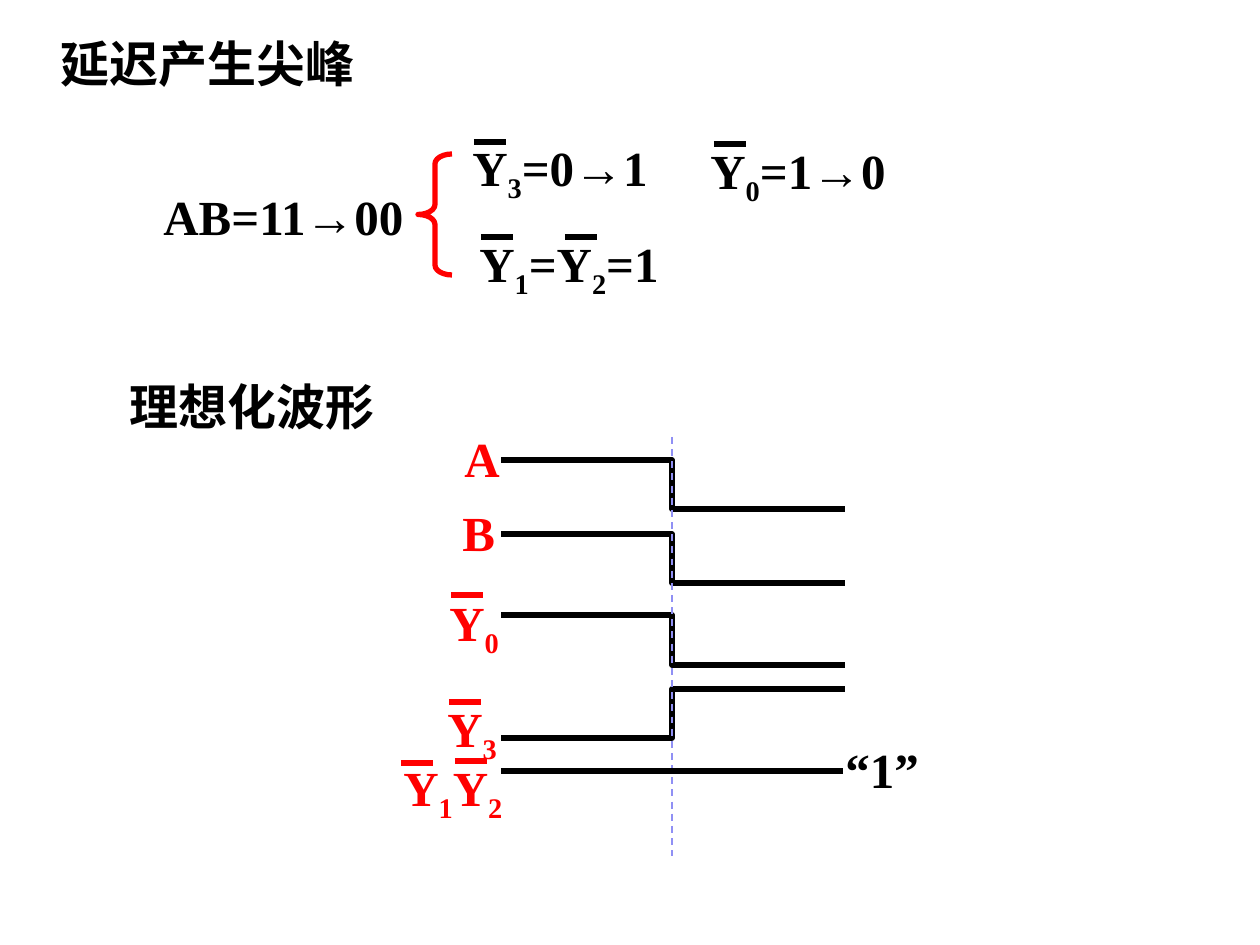
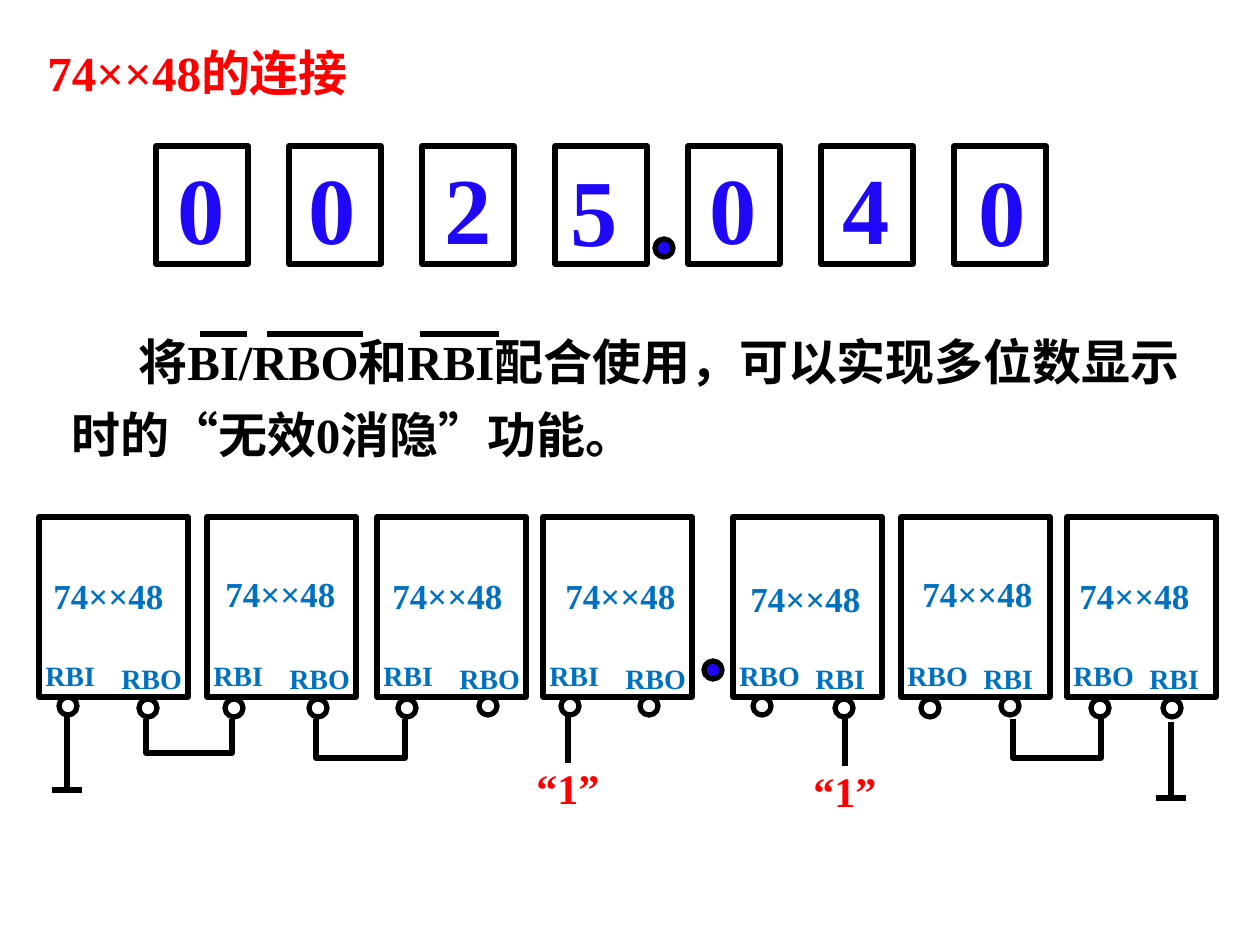
from dataclasses import dataclass

from lxml.etree import SubElement
from pptx import Presentation
from pptx.dml.color import RGBColor
from pptx.enum.dml import MSO_LINE
from pptx.enum.shapes import MSO_CONNECTOR, MSO_SHAPE
from pptx.enum.text import MSO_ANCHOR
from pptx.oxml.ns import qn
from pptx.util import Pt

EMU_PER_PX = 914400 / 126
FONT = "Times New Roman"
BLACK = RGBColor(0x00, 0x00, 0x00)
RED = RGBColor(0xFF, 0x00, 0x00)
DIGIT_BLUE = RGBColor(0x1F, 0x08, 0xF8)
CHIP_BLUE = RGBColor(0x00, 0x70, 0xC0)
GUIDE_BLUE = RGBColor(0x90, 0x90, 0xF4)

BODY_SIZE = 28
BAR_LENGTH = 32
DOT_SIZE = 18


@dataclass
class Chip:
    left: int
    model_offset: tuple
    pins: tuple


CHIPS = (
    Chip(39, (2, 51), ((20, 0), (100, 2))),
    Chip(207, (6, 49), ((18, 2), (102, 2))),
    Chip(377, (3, 51), ((21, 2), (102, 0))),
    Chip(543, (10, 51), ((18, 0), (97, 0))),
    Chip(733, (5, 54), ((20, 0), (102, 2))),
    Chip(901, (9, 49), ((20, 2), (100, 0))),
    Chip(1067, (0, 51), ((24, 2), (96, 2))),
)
INTEGER_DIGITS = 4


def px(length):
    return round(length * EMU_PER_PX)


def add_text(page, box, parts, color=BLACK, size=BODY_SIZE, before=None):
    """Parts alternate between normal text and subscripts."""
    shape = page.shapes.add_textbox(*map(px, box))
    frame = shape.text_frame
    frame.word_wrap = True
    para = frame.paragraphs[0]
    para.space_before = Pt(size * 0.1 if before is None else before)
    for index, part in enumerate(parts):
        span = para.add_run()
        span.text = part
        span.font.name = FONT
        span.font.size = Pt(size)
        span.font.bold = True
        span.font.color.rgb = color
        if index % 2:
            span._r.get_or_add_rPr().set("baseline", "-25000")
    return frame


def add_title(page, box, text, color):
    frame = add_text(page, box, [text], color, before=0)
    frame.vertical_anchor = MSO_ANCHOR.MIDDLE


def add_line(page, start, end, color=BLACK, width=3):
    line = page.shapes.add_connector(MSO_CONNECTOR.STRAIGHT, *map(px, start + end))
    line.line.color.rgb = color
    line.line.width = Pt(width)
    SubElement(line._element.spPr, qn("a:effectLst"))
    return line


def style_outline(shape, color=BLACK, fill=None):
    shape.shadow.inherit = False
    shape.line.color.rgb = color
    shape.line.width = Pt(3)
    if fill is None:
        shape.fill.background()
    else:
        shape.fill.solid()
        shape.fill.fore_color.rgb = fill


def add_outline(page, kind, box, color=BLACK, fill=None):
    shape = page.shapes.add_shape(kind, *map(px, box))
    style_outline(shape, color, fill)
    return shape


def add_dot(page, left, top, fill=None):
    add_outline(page, MSO_SHAPE.OVAL, (left, top, DOT_SIZE, DOT_SIZE), fill=fill)


def add_path(page, points):
    scaled = [(px(x), px(y)) for x, y in points]
    builder = page.shapes.build_freeform(*scaled[0])
    builder.add_line_segments(scaled[1:], close=False)
    style_outline(builder.convert_to_shape())


def add_barred_text(page, box, parts, bars, color=BLACK):
    add_text(page, box, parts, color)
    left, top = box[:2]
    for dx, dy in bars:
        start = (left + dx, top + dy)
        add_line(page, start, (start[0] + BAR_LENGTH, start[1]), color)


def draw_transition(page, left, top):
    add_text(page, (left, top + 49, 294, 72), ["AB=11→00"])
    brace = add_outline(page, MSO_SHAPE.LEFT_BRACE, (left + 267, top + 23, 34, 121), RED)
    brace.adjustments[0] = 0.292
    brace.adjustments[1] = 0.5
    results = (
        (309, 0, 237, ("Y", "3", "=0→1"), ((14, 11),)),
        (547, 3, 237, ("Y", "0", "=1→0"), ((16, 10),)),
        (316, 96, 224, ("Y", "1", "=Y", "2", "=1"), ((14, 10), (98, 10))),
    )
    for dx, dy, width, parts, bars in results:
        add_barred_text(page, (left + dx, top + dy, width, 72), parts, bars)


def draw_waveforms(page, left, top):
    start, step, end = left + 110, left + 281, left + 454
    for before, after in ((38, 87), (112, 161), (193, 243), (316, 267)):
        add_path(page, ((start, top + before), (step, top + before),
                        (step, top + after), (end, top + after)))
    labels = (
        (61, 0, 106, ("A",), ()),
        (59, 74, 106, ("B",), ()),
        (46, 164, 106, ("Y", "0"), ((14, 9),)),
        (44, 270, 106, ("Y", "3"), ((14, 10),)),
        (0, 329, 168, ("Y", "1", "Y", "2"), ((10, 12), (64, 10))),
    )
    for dx, dy, width, parts, bars in labels:
        add_barred_text(page, (left + dx, top + dy, width, 72), parts, bars, RED)
    guide = add_line(page, (step, top + 15), (step, top + 434), GUIDE_BLUE, 1)
    guide.line.dash_style = MSO_LINE.DASH
    add_line(page, (start, top + 349), (left + 452, top + 349))
    add_text(page, (left + 442, top + 311, 123, 72), ["“1”"])


def draw_display(page, left, top):
    pitch = 133
    digits = (("0", 9, -2), ("0", 7, -2), ("2", 10, -2), ("5", 5, 0),
              ("0", 9, -2), ("4", 9, -2), ("0", 12, 0))
    for index, (digit, dx, dy) in enumerate(digits):
        cell = left + index * pitch
        add_outline(page, MSO_SHAPE.RECTANGLE, (cell, top, 92, 118))
        add_text(page, (cell + dx - 2 * (index == 3), top + dy, 72, 126),
                 [digit], DIGIT_BLUE, 54)
    add_dot(page, left + 499, top + 93, DIGIT_BLUE)


def draw_explanation(page, left, top):
    text = "将BI/RBO和RBI配合使用，可以实现多位数显示时的“无效0消隐”功能。"
    frame = add_text(page, (left, top, 1169, 152), [text], before=3)
    para = frame.paragraphs[0]
    para.line_spacing = 1.24
    para.space_after = Pt(3)
    para._p.get_or_add_pPr().set("indent", str(px(67)))
    for start, end in ((141, 188), (208, 304), (361, 440)):
        add_line(page, (left + start, top + 23), (left + end, top + 23))


def draw_chip(page, chip, top, pin_names):
    left = chip.left
    add_outline(page, MSO_SHAPE.RECTANGLE, (left, top, 149, 180))
    dx, dy = chip.model_offset
    add_text(page, (left + dx, top + dy, 170, 54), ["74××48"], CHIP_BLUE, 20)
    for name, label_dx, label_dy in zip(pin_names, (-6, 70), (135, 138)):
        add_text(page, (left + label_dx, top + label_dy, 98, 47), [name], CHIP_BLUE, 16)
    for pin_dx, drop in chip.pins:
        add_dot(page, left + pin_dx, top + 180 + drop)


def draw_ground(page, x, start, end):
    add_line(page, (x, start), (x, end))
    add_line(page, (x - 15, end + 1), (x + 15, end + 1))


def draw_high_input(page, x, top):
    add_line(page, (x, top), (x, top + 49))
    add_text(page, (x - 44, top + 42, 93, 63), ["“1”"], RED, 24)


def draw_chip_chain(page, top):
    for index, chip in enumerate(CHIPS):
        names = ("RBI", "RBO") if index < INTEGER_DIGITS else ("RBO", "RBI")
        draw_chip(page, chip, top, names)
    add_dot(page, 704, top + 144, DIGIT_BLUE)
    for start, end, bottom in ((146, 232, 236), (316, 405, 241), (1013, 1101, 241)):
        add_path(page, ((start, top + 202), (start, top + bottom),
                        (end, top + bottom), (end, top + 202)))
    draw_ground(page, 67, top + 197, top + 272)
    draw_ground(page, 1171, top + 205, top + 280)
    draw_high_input(page, 568, top + 197)
    draw_high_input(page, 845, top + 200)


def build_spike_slide(page):
    add_title(page, (48, 25, 372, 76), "延迟产生尖峰", BLACK)
    draw_transition(page, 151, 131)
    add_text(page, (117, 370, 326, 72), ["理想化波形"])
    draw_waveforms(page, 391, 422)


def build_connection_slide(page):
    add_title(page, (35, 39, 359, 66), "74××48的连接", RED)
    draw_display(page, 156, 146)
    draw_explanation(page, 59, 311)
    draw_chip_chain(page, 517)


def main():
    deck = Presentation()
    deck.slide_width = px(1260)
    deck.slide_height = px(945)
    for build in (build_spike_slide, build_connection_slide):
        build(deck.slides.add_slide(deck.slide_layouts[6]))
    deck.save("out.pptx")


if __name__ == "__main__":
    main()
